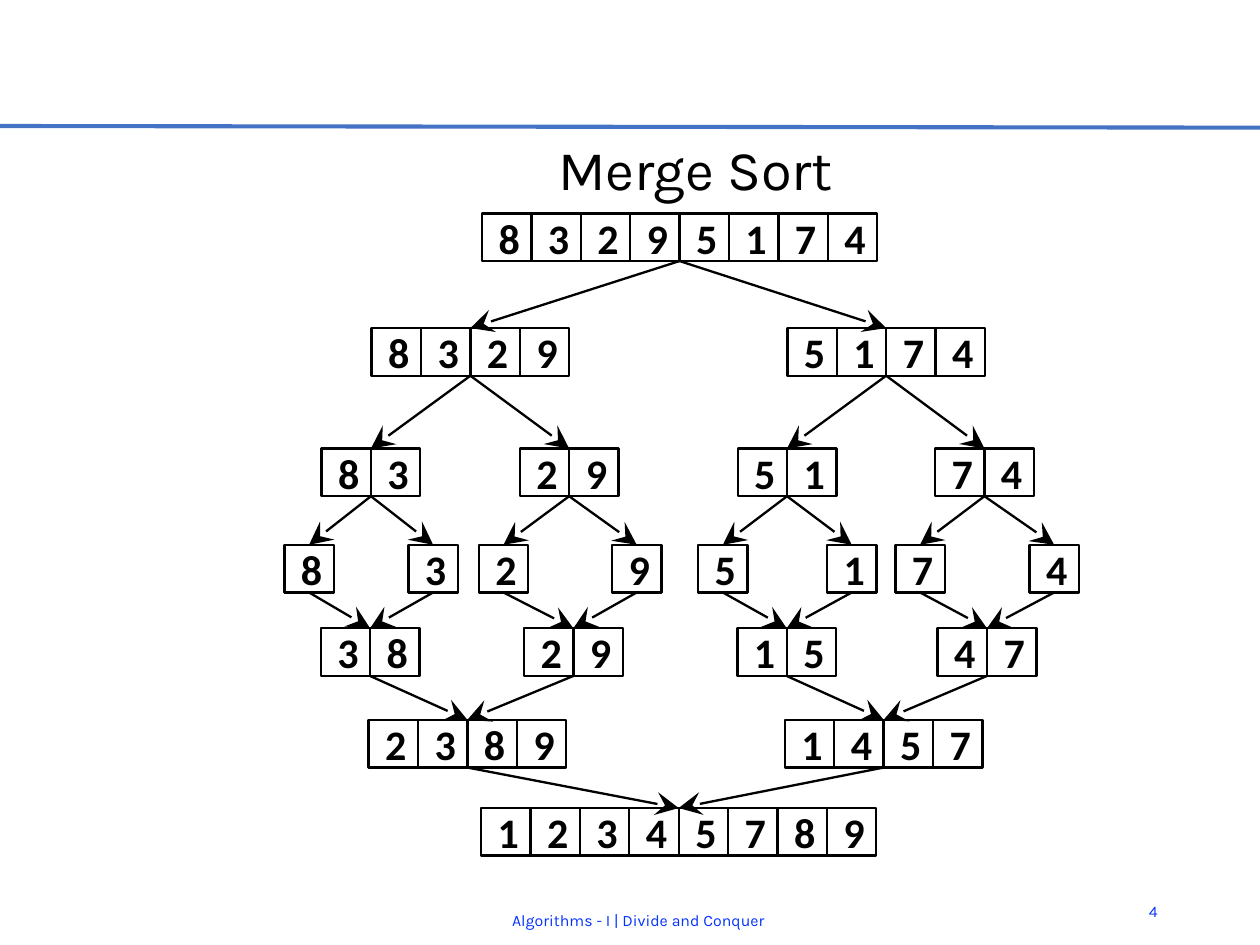
"""Build the merge sort slide: runs split down to single cells, then merge."""
from dataclasses import dataclass

from lxml.etree import SubElement
from pptx import Presentation
from pptx.dml.color import RGBColor
from pptx.enum.shapes import MSO_CONNECTOR, MSO_SHAPE
from pptx.enum.text import MSO_ANCHOR, MSO_AUTO_SIZE, PP_ALIGN
from pptx.oxml.ns import qn
from pptx.util import Inches, Pt


@dataclass(frozen=True)
class Theme:
    ink: RGBColor = RGBColor(0x00, 0x00, 0x00)
    rule: RGBColor = RGBColor(0x44, 0x72, 0xC4)
    footer: RGBColor = RGBColor(0x04, 0x32, 0xFF)
    heading_font: str = "Karla"
    digit_font: str = "Calibri"
    title_size: float = 24
    digit_size: float = 18
    footer_size: float = 6.8
    rule_width: float = 1.75
    line_width: float = 1


theme = Theme()
presentation = Presentation()
presentation.slide_width = Inches(7.5)
presentation.slide_height = presentation.slide_width * 3 // 4
column = presentation.slide_width / 750
row = presentation.slide_height / 562.5
slide = presentation.slides.add_slide(presentation.slide_layouts[5])

title_format = {"name": theme.heading_font, "size": Pt(theme.title_size), "bold": False}
digit_format = {"name": theme.digit_font, "size": Pt(theme.digit_size), "bold": True}
footer_format = {"name": theme.heading_font, "size": Pt(theme.footer_size), "bold": False}


def write(shape, text, font_format, color, alignment):
    frame = shape.text_frame
    frame.word_wrap = True
    frame.vertical_anchor = MSO_ANCHOR.MIDDLE
    paragraph = frame.paragraphs[0]
    paragraph.alignment = alignment
    run = paragraph.add_run()
    run.text = text
    for name, value in font_format.items():
        setattr(run.font, name, value)
    run.font.color.rgb = color


def draw_line(start, end, color, width):
    ends = [round(length * unit) for point in (start, end) for length, unit in zip(point, (column, row))]
    connector = slide.shapes.add_connector(MSO_CONNECTOR.STRAIGHT, *ends)
    connector.line.color.rgb = color
    connector.line.width = Pt(width)
    SubElement(connector._element.spPr, qn("a:effectLst"))
    return connector


draw_line((0, 75), (750, 76), theme.rule, theme.rule_width)

title = slide.shapes.title
title_place = {"left": 109.5 * column, "top": 79.5 * row, "width": 609 * column, "height": 41 * row}
for name, value in title_place.items():
    setattr(title, name, round(value))
for side in ("left", "top", "right", "bottom"):
    setattr(title.text_frame, f"margin_{side}", 0)
title.text_frame.auto_size = MSO_AUTO_SIZE.NONE
write(title, "Merge Sort", title_format, theme.ink, PP_ALIGN.CENTER)

cell_width, cell_height = 29.4, 28.4
levels = [
    (127, [("83295174", 404.5)]),
    (195.3, [("8329", 280), ("5174", 527.5)]),
    (267, [("83", 220.8), ("29", 338.8), ("51", 468.5), ("74", 586)]),
    (324.3, [("8", 184), ("3", 257.8), ("2", 299.7), ("9", 379),
             ("5", 430.3), ("1", 507), ("7", 547.7), ("4", 627.5)]),
    (374, [("38", 220.3), ("29", 341.3), ("15", 468.3), ("47", 587.5)]),
    (428.5, [("2389", 278.2), ("1457", 526)]),
    (481, [("12345789", 404)]),
]

drawn_levels = []
for top, runs in levels:
    drawn_runs = []
    for digits, middle in runs:
        cells = slide.shapes if len(digits) == 1 else slide.shapes.add_group_shape().shapes
        left = middle - len(digits) * cell_width / 2
        for index, digit in enumerate(digits):
            cell = cells.add_shape(
                MSO_SHAPE.RECTANGLE,
                round((left + index * cell_width) * column), round(top * row),
                round(cell_width * column), round(cell_height * row))
            cell.shadow.inherit = False
            cell.fill.background()
            cell.line.color.rgb = theme.ink
            cell.line.width = Pt(theme.line_width)
            write(cell, digit, digit_format, theme.ink, PP_ALIGN.CENTER)
        drawn_runs.append((middle, top, cell if len(digits) == 1 else None))
    drawn_levels.append(drawn_runs)

for sources, targets in zip(drawn_levels, drawn_levels[1:]):
    count = max(len(sources), len(targets))
    for index in range(count):
        start_middle, start_top, start_cell = sources[index * len(sources) // count]
        end_middle, end_top, end_cell = targets[index * len(targets) // count]
        arrow = draw_line((start_middle, start_top + cell_height), (end_middle, end_top),
                          theme.ink, theme.line_width)
        SubElement(arrow.line._get_or_add_ln(), qn("a:tailEnd"), type="stealth", w="lg", len="lg")
        if start_cell is not None:
            arrow.begin_connect(start_cell, 2)
        if end_cell is not None:
            arrow.end_connect(end_cell, 0)

footers = [
    ("4", 662, 527.5, 37, PP_ALIGN.RIGHT),
    ("Algorithms - I | Divide and Conquer", 157.5, 533, 445, PP_ALIGN.CENTER),
]
for text, left, top, width, alignment in footers:
    box = slide.shapes.add_textbox(
        round(left * column), round(top * row), round(width * column), round(30 * row))
    write(box, text, footer_format, theme.footer, alignment)

presentation.save("out.pptx")
